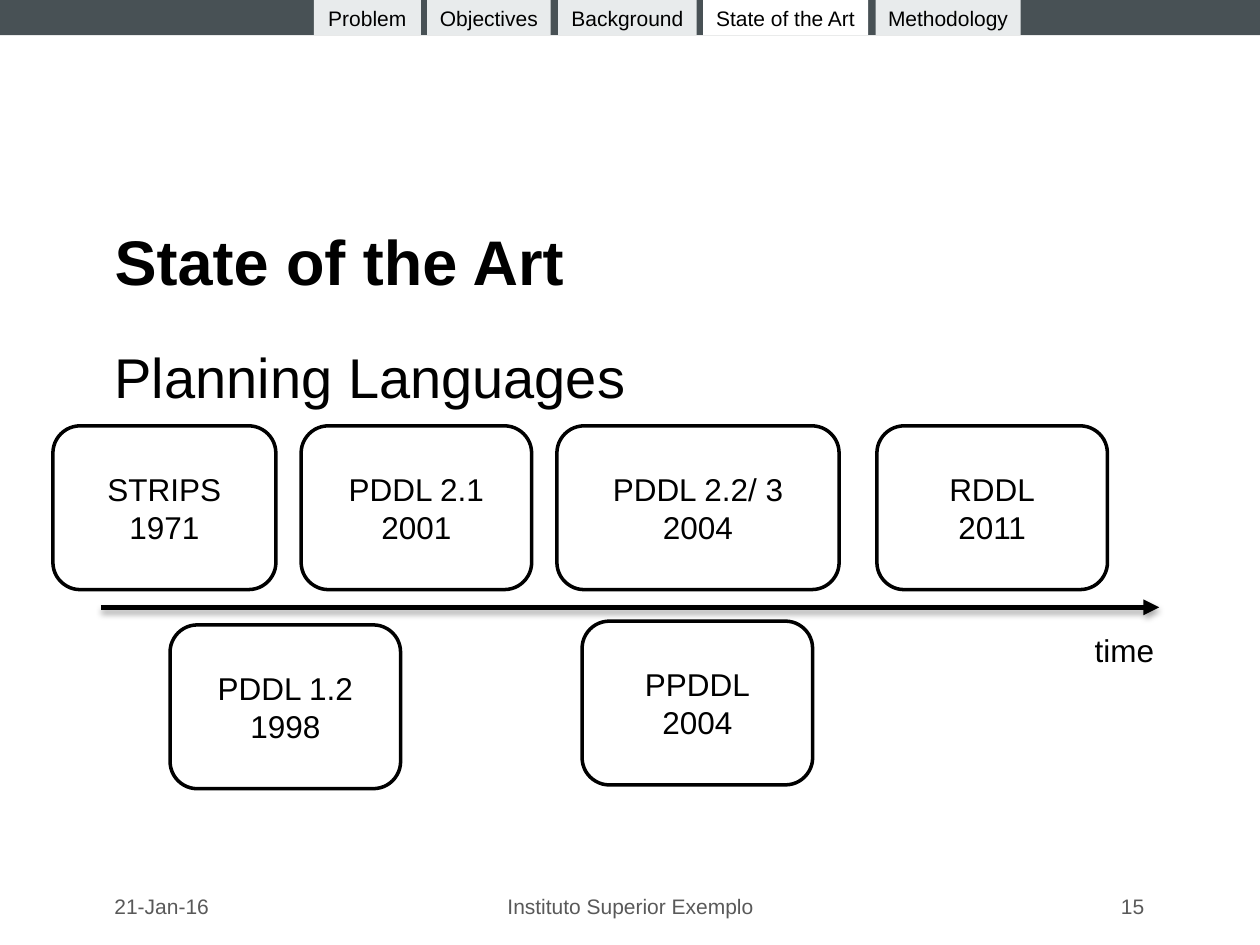
from typing import NamedTuple

from lxml.etree import SubElement
from pptx import Presentation
from pptx.dml.color import RGBColor
from pptx.enum.shapes import MSO_CONNECTOR as Conn, MSO_SHAPE as Shape
from pptx.enum.text import MSO_ANCHOR as Anchor, PP_ALIGN as Align
from pptx.oxml.ns import qn
from pptx.util import Inches, Pt

COLORS = {
    "text": "000000",
    "footer": "595959",
    "bar": "485155",
    "tab": "E8EBEC",
    "paper": "FFFFFF",
}
FONT = "Arial"
BAR_H = 0.28
BOX_H = 1.3
ABOVE, BELOW = 3.38, 4.96
AXIS_Y = 4.82


class Tab(NamedTuple):
    label: str
    left: float
    width: float
    color: str = "tab"


class Language(NamedTuple):
    name: str
    year: str
    left: float
    top: float
    width: float = 1.83


class Label(NamedTuple):
    text: str
    left: float
    top: float
    width: float
    height: float
    align: Align = Align.LEFT
    size: int = 12
    color: str = "footer"
    anchor: Anchor = Anchor.MIDDLE


TABS = [
    Tab("Problem", 2.49, 0.85),
    Tab("Objectives", 3.39, 0.98),
    Tab("Background", 4.43, 1.1),
    Tab("State of the Art", 5.58, 1.31, "paper"),
    Tab("Methodology", 6.95, 1.15),
]
LANGUAGES = [
    Language("STRIPS", "1971", 0.42, ABOVE, 1.77),
    Language("PDDL 1.2", "1998", 1.35, BELOW),
    Language("PDDL 2.1", "2001", 2.39, ABOVE),
    Language("PPDDL", "2004", 4.62, 4.93),
    Language("PDDL 2.2/ 3", "2004", 4.42, ABOVE, 2.24),
    Language("RDDL", "2011", 6.96, ABOVE),
]
LABELS = [
    Label("21-Jan-16", 0.81, 7.02, 2.02, 0.34),
    Label("Instituto Superior Exemplo", 3.42, 7.02, 3.17, 0.34, Align.CENTER),
    Label("15", 7.18, 7.02, 2, 0.34, Align.RIGHT),
    Label("time", 8.59, 4.96, 1.17, 0.4, size=18, color="text", anchor=Anchor.TOP),
]


def rgb(name: str) -> RGBColor:
    return RGBColor.from_string(COLORS[name])


def write(tf, lines: list[str], size: int, align=Align.LEFT,
          color: str = "text", bold: bool = False) -> None:
    for i, line in enumerate(lines):
        p = tf.paragraphs[0] if i == 0 else tf.add_paragraph()
        p.alignment = align
        r = p.add_run()
        r.text = line
        r.font.name = FONT
        r.font.size = Pt(size)
        r.font.bold = bold
        r.font.color.rgb = rgb(color)


def place(sp, left: float, top: float, width: float, height: float) -> None:
    sp.left, sp.top = Inches(left), Inches(top)
    sp.width, sp.height = Inches(width), Inches(height)


def add_box(s, kind: Shape, left: float, top: float, width: float,
            height: float, color: str):
    sp = s.shapes.add_shape(kind, Inches(left), Inches(top),
                            Inches(width), Inches(height))
    sp.shadow.inherit = False
    sp.fill.solid()
    sp.fill.fore_color.rgb = rgb(color)
    sp.line.fill.background()
    sp.text_frame.vertical_anchor = Anchor.MIDDLE
    return sp


def add_tab(s, tab: Tab) -> None:
    sp = add_box(s, Shape.RECTANGLE, tab.left, 0, tab.width, BAR_H, tab.color)
    sp.text_frame.word_wrap = False
    write(sp.text_frame, [tab.label], 12, Align.CENTER)


def add_language(s, lang: Language) -> None:
    sp = add_box(s, Shape.ROUNDED_RECTANGLE, lang.left, lang.top,
                 lang.width, BOX_H, "paper")
    sp.line.color.rgb = rgb("text")
    sp.line.width = Pt(2)
    write(sp.text_frame, [lang.name, lang.year], 18, Align.CENTER)


def add_label(s, label: Label) -> None:
    sp = s.shapes.add_textbox(Inches(label.left), Inches(label.top),
                              Inches(label.width), Inches(label.height))
    tf = sp.text_frame
    tf.word_wrap = True
    tf.vertical_anchor = label.anchor
    write(tf, [label.text], label.size, label.align, label.color)


def add_time_axis(s) -> None:
    axis = s.shapes.add_connector(Conn.STRAIGHT, Inches(0.8), Inches(AXIS_Y),
                                  Inches(9.2), Inches(AXIS_Y))
    axis.line.color.rgb = rgb("text")
    axis.line.width = Pt(3)
    sp_pr = axis._element.spPr
    SubElement(sp_pr.find(qn("a:ln")), qn("a:tailEnd"), type="triangle")
    effects = SubElement(sp_pr, qn("a:effectLst"))
    shadow = SubElement(effects, qn("a:outerShdw"), blurRad=str(Pt(3.1)),
                        dist=str(Pt(1.8)), dir="5400000", rotWithShape="0")
    tint = SubElement(shadow, qn("a:srgbClr"), val=COLORS["text"])
    SubElement(tint, qn("a:alpha"), val="35000")


def add_headings(s) -> None:
    title, body = s.placeholders
    place(title, 0.81, 1.59, 8.37, 0.95)
    title.text_frame.vertical_anchor = Anchor.MIDDLE
    write(title.text_frame, ["State of the Art"], 36, bold=True)
    place(body, 0.81, 2.67, 8.58, 4.03)
    write(body.text_frame, ["Planning Languages"], 32)
    p_pr = body.text_frame.paragraphs[0]._p.get_or_add_pPr()
    p_pr.set("marL", "0")
    p_pr.set("indent", "0")
    SubElement(p_pr, qn("a:buNone"))


def main() -> None:
    prs = Presentation()
    prs.slide_width, prs.slide_height = Inches(10), Inches(7.5)
    s = prs.slides.add_slide(prs.slide_layouts[1])
    add_headings(s)
    add_box(s, Shape.RECTANGLE, 0, 0, 10, BAR_H, "bar")
    for tab in TABS:
        add_tab(s, tab)
    add_time_axis(s)
    for lang in LANGUAGES:
        add_language(s, lang)
    for label in LABELS:
        add_label(s, label)
    prs.save("out.pptx")


if __name__ == "__main__":
    main()
